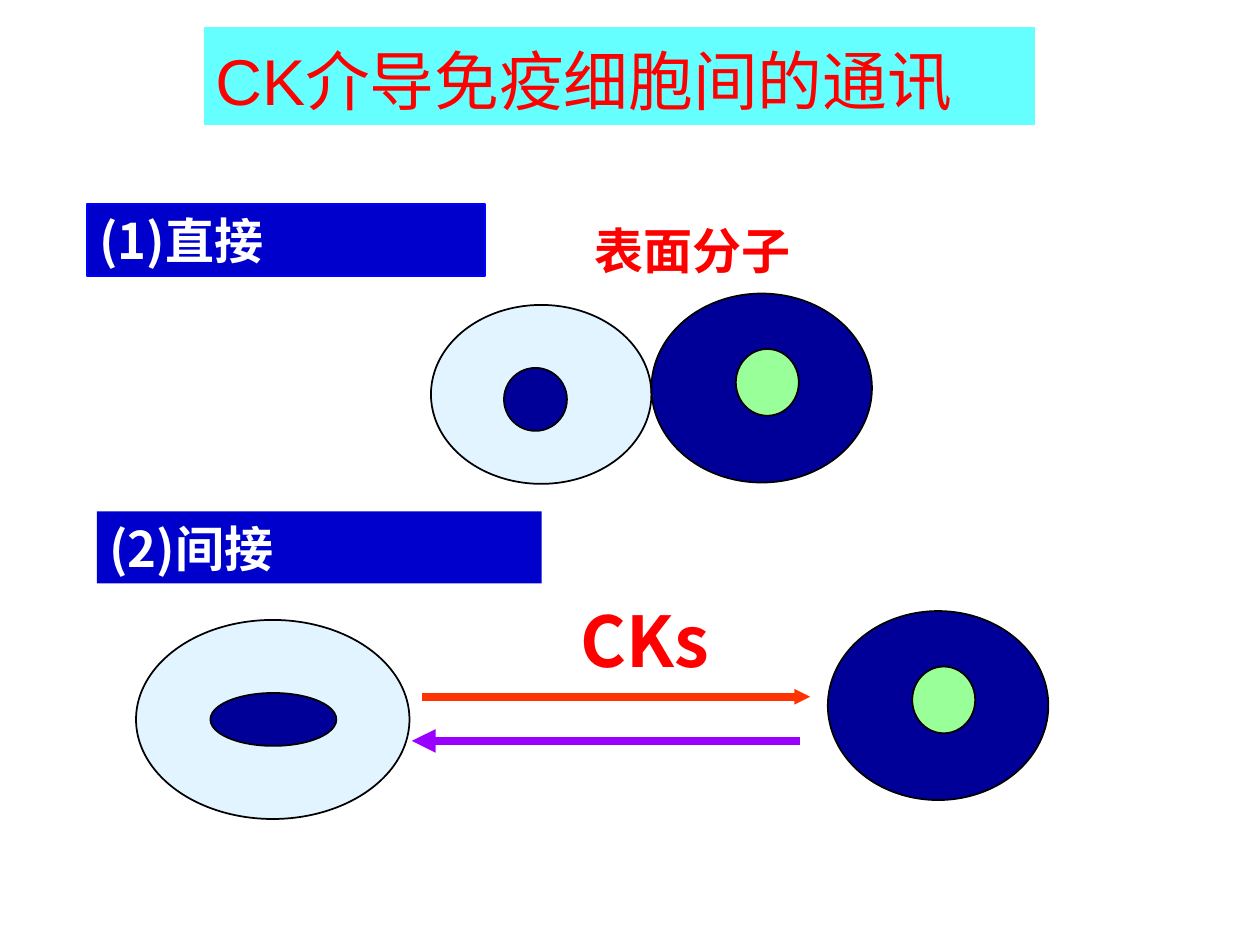
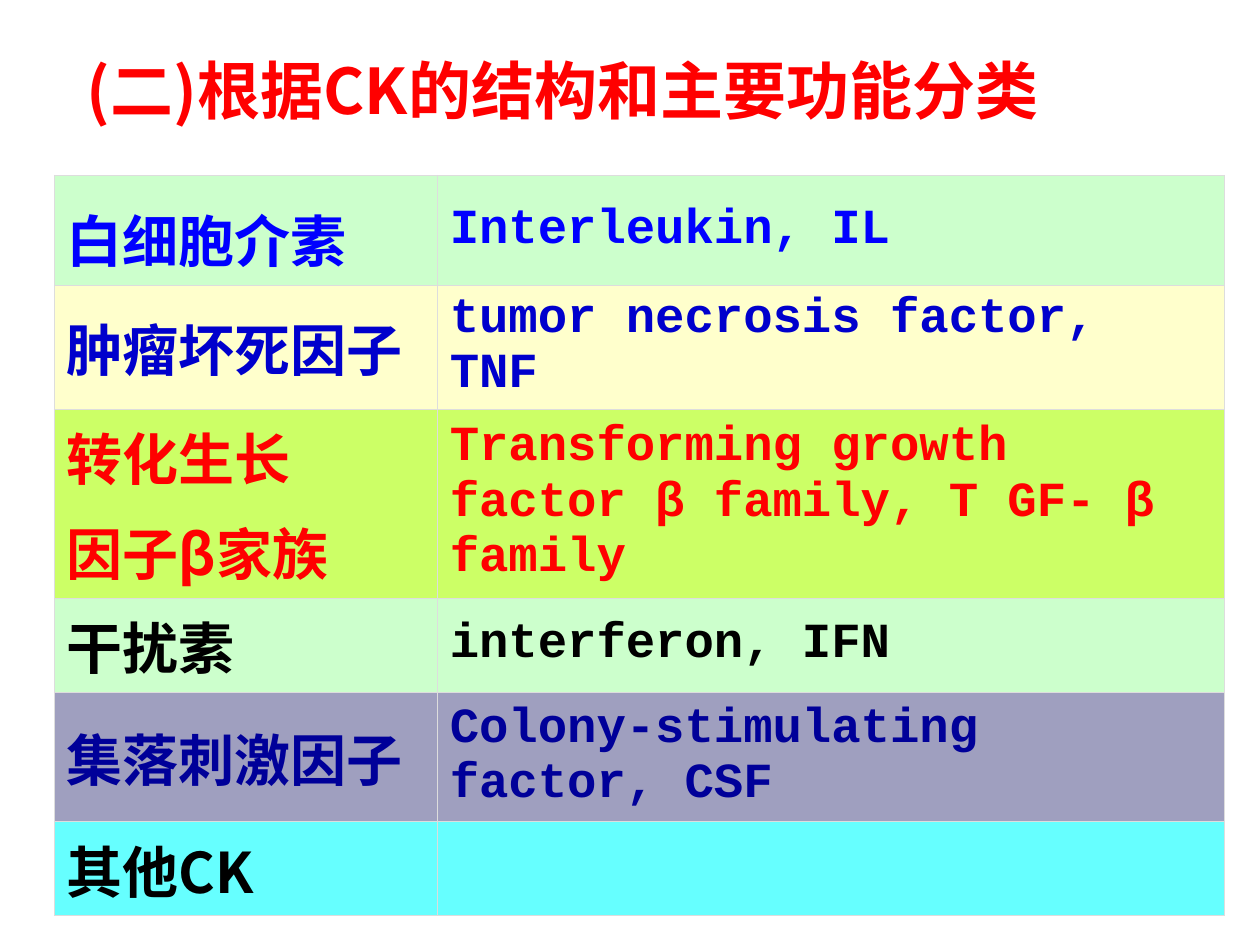
from lxml.etree import SubElement
from pptx import Presentation
from pptx.dml.color import RGBColor
from pptx.enum.shapes import MSO_CONNECTOR, MSO_SHAPE
from pptx.enum.text import MSO_ANCHOR, MSO_AUTO_SIZE, PP_ALIGN
from pptx.oxml.ns import qn
from pptx.util import Inches, Pt

# The slide is a grid of 100 columns by 75 rows
COLUMNS, ROWS = 100, 75
UNIT = Inches(10) / COLUMNS

CJK, LATIN, MONO = "Noto Sans CJK SC", "Arial", "Courier New"
RED, WHITE, BLACK = "FF0000", "FFFFFF", "000000"
CYAN, BLUE, NAVY = "66FFFF", "0000CC", "000099"
PALE_BLUE, GREEN, MINT = "E1F4FF", "99FF99", "CCFFCC"
BORDER = "DDDDDD"

# Chinese name, English name, text colour, row colour, height in grid rows
CYTOKINES = [
    ("白细胞介素", "Interleukin, IL", "0000FF", MINT, 7.4),
    ("肿瘤坏死因子", "tumor necrosis factor, TNF", BLUE, "FFFFCC", 9.7),
    ("转化生长\n因子β家族", "Transforming growth factor β family, T GF- β family",
     RED, "CCFF66", 14.2),
    ("干扰素", "interferon, IFN", BLACK, MINT, 6.3),
    ("集落刺激因子", "Colony-stimulating factor, CSF", NAVY, "9F9FBF", 10.3),
    ("其他CK", "", BLACK, CYAN, 6.4),
]


def grid(*lengths):
    return [round(length * UNIT) for length in lengths]


def rgb(hex_string):
    return RGBColor.from_string(hex_string)


def paint(shape, fill, line=None, width=1):
    shape.fill.solid()
    shape.fill.fore_color.rgb = rgb(fill)
    if line:
        shape.line.color.rgb = rgb(line)
        shape.line.width = Pt(width)
    else:
        shape.line.fill.background()


def write(frame, text, size, color, font=CJK, bold=True, spacing=None, gap=8):
    frame.text = text
    for number, paragraph in enumerate(frame.paragraphs):
        paragraph.alignment = PP_ALIGN.LEFT
        paragraph.space_before = Pt(gap if number else 0)
        if spacing:
            paragraph.line_spacing = spacing
        style = paragraph.font
        style.size, style.bold, style.name = Pt(size), bold, font
        style.color.rgb = rgb(color)
        # East Asian typeface follows the Latin one
        SubElement(style._element, qn("a:ea"), typeface=CJK)


def fit_frame(frame):
    frame.word_wrap = True
    frame.auto_size = MSO_AUTO_SIZE.NONE
    frame.vertical_anchor = MSO_ANCHOR.MIDDLE
    frame.margin_right = 0


def add_titled_slide(deck, text, box, size, fill, **style):
    slide = deck.slides.add_slide(deck.slide_layouts[5])
    title = slide.shapes.title
    title.left, title.top, title.width, title.height = grid(*box)
    paint(title, fill, WHITE)
    fit_frame(title.text_frame)
    write(title.text_frame, text, size, RED, **style)
    return slide


def add_label(slide, text, box, size=28, color=RED, fill=None, line=None):
    label = slide.shapes.add_textbox(*grid(*box))
    if fill:
        paint(label, fill, line)
    fit_frame(label.text_frame)
    write(label.text_frame, text, size, color)


def add_cell(slide, body, nucleus, body_color, nucleus_color):
    immune_cell = slide.shapes.add_group_shape()
    for box, color in ((body, body_color), (nucleus, nucleus_color)):
        oval = immune_cell.shapes.add_shape(MSO_SHAPE.OVAL, *grid(*box))
        oval.shadow.inherit = False
        paint(oval, color, BLACK)


def add_dark_cell(slide, left, top):
    add_cell(slide, (left, top, 17.5, 15), (left + 6.7, top + 4.4, 5, 5.3),
             NAVY, GREEN)


def add_arrow(slide, start, end, row, color, head_size):
    arrow = slide.shapes.add_connector(MSO_CONNECTOR.STRAIGHT,
                                       *grid(start, row, end, row))
    arrow.line.color.rgb = rgb(color)
    arrow.line.width = Pt(4.5)
    SubElement(arrow.line._get_or_add_ln(), qn("a:tailEnd"),
               type="triangle", w=head_size, len=head_size)
    SubElement(arrow._element.spPr, qn("a:effectLst"))


def add_borders(cell):
    properties = cell._tc.get_or_add_tcPr()
    for position, side in enumerate(("lnL", "lnR", "lnT", "lnB")):
        edge = SubElement(properties, qn(f"a:{side}"), w=str(Pt(0.45)))
        fill = SubElement(edge, qn("a:solidFill"))
        SubElement(fill, qn("a:srgbClr"), val=BORDER)
        properties.insert(position, edge)


def add_cytokine_table(slide):
    height = sum(row[-1] for row in CYTOKINES)
    table = slide.shapes.add_table(len(CYTOKINES), 2,
                                   *grid(4.3, 13.9, 92.9, height)).table
    table.first_row = table.horz_banding = False
    for column, width in zip(table.columns, grid(30.4, 62.5)):
        column.width = width
    for number, (chinese, english, color, fill, rows) in enumerate(CYTOKINES):
        table.rows[number].height = grid(rows)[0]
        chinese_cell, english_cell = table.rows[number].cells
        for cell in (chinese_cell, english_cell):
            cell.fill.solid()
            cell.fill.fore_color.rgb = rgb(fill)
            cell.vertical_anchor = MSO_ANCHOR.MIDDLE
            add_borders(cell)
        write(chinese_cell.text_frame, chinese, 32, color,
              spacing=None if number else 1.2)
        if english:
            write(english_cell.text_frame, english, 28, color, MONO)


def build_communication(deck):
    slide = add_titled_slide(deck, "CK介导免疫细胞间的通讯",
                             (16.1, 2.1, 66.1, 7.9), 37, CYAN,
                             font=LATIN, bold=False, spacing=1.1)
    # Direct contact
    add_cell(slide, (34.2, 24.2, 17.5, 14.2), (40, 29.2, 5, 5), PALE_BLUE, NAVY)
    add_dark_cell(slide, 51.7, 23.3)
    add_label(slide, "(1)直接", (6.9, 16.2, 31.6, 5.7), color=WHITE,
              fill=BLUE, line="0000FF")
    add_label(slide, "表面分子", (46.2, 17, 17.5, 5.7))
    # Indirect contact through cytokines
    add_label(slide, "(2)间接", (7.7, 40.6, 35.3, 5.7), color=WHITE, fill=BLUE)
    add_cell(slide, (10.8, 49.2, 21.7, 15.8), (16.7, 55, 10, 4.2),
             PALE_BLUE, NAVY)
    add_dark_cell(slide, 65.7, 48.5)
    add_label(slide, "CKs", (45.1, 46.9, 12.2, 7.7), size=40)
    add_arrow(slide, 33.5, 64.3, 55.3, "FF3300", "sm")
    add_arrow(slide, 63.5, 32.7, 58.8, "9900FF", "med")


def build_classification(deck):
    slide = add_titled_slide(deck, "(二)根据CK的结构和主要功能分类",
                             (5.9, 3.6, 86.4, 7), 36, WHITE)
    add_cytokine_table(slide)


def main():
    deck = Presentation()
    deck.slide_width, deck.slide_height = grid(COLUMNS, ROWS)
    build_communication(deck)
    build_classification(deck)
    deck.save("out.pptx")


if __name__ == "__main__":
    main()
